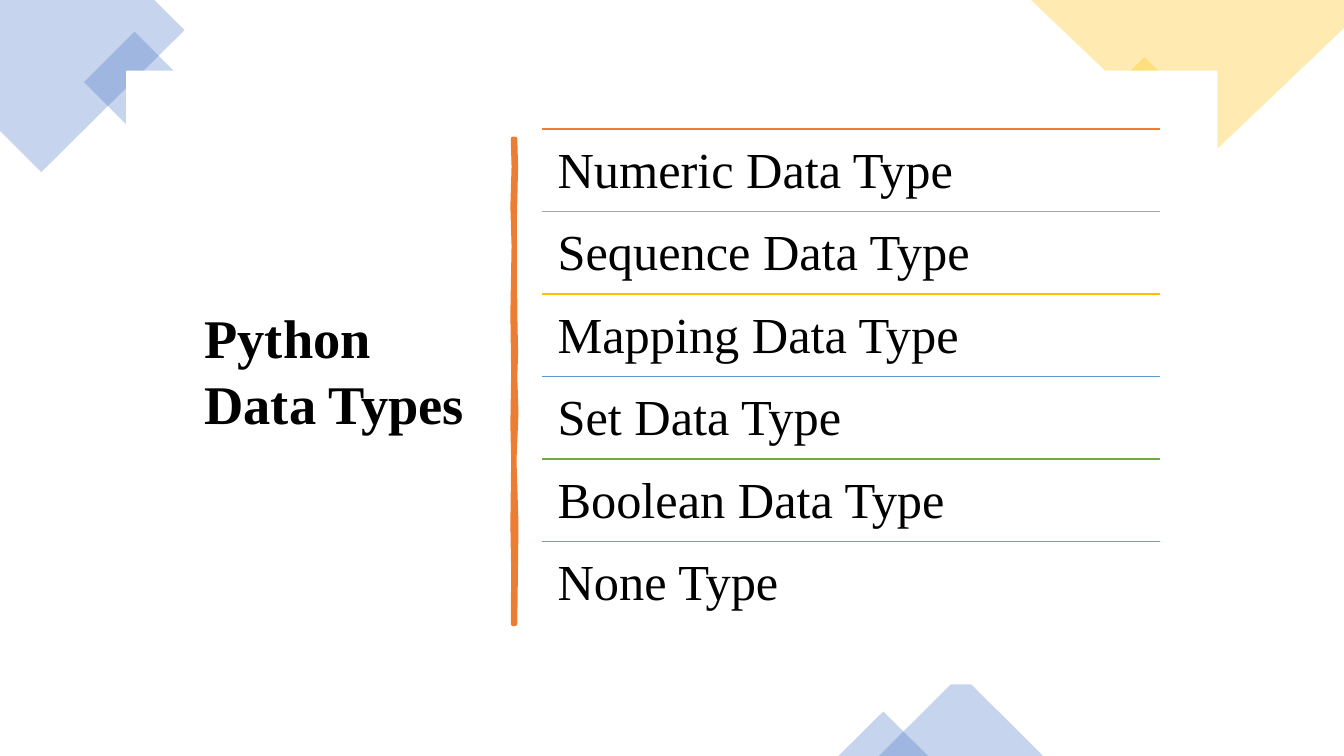
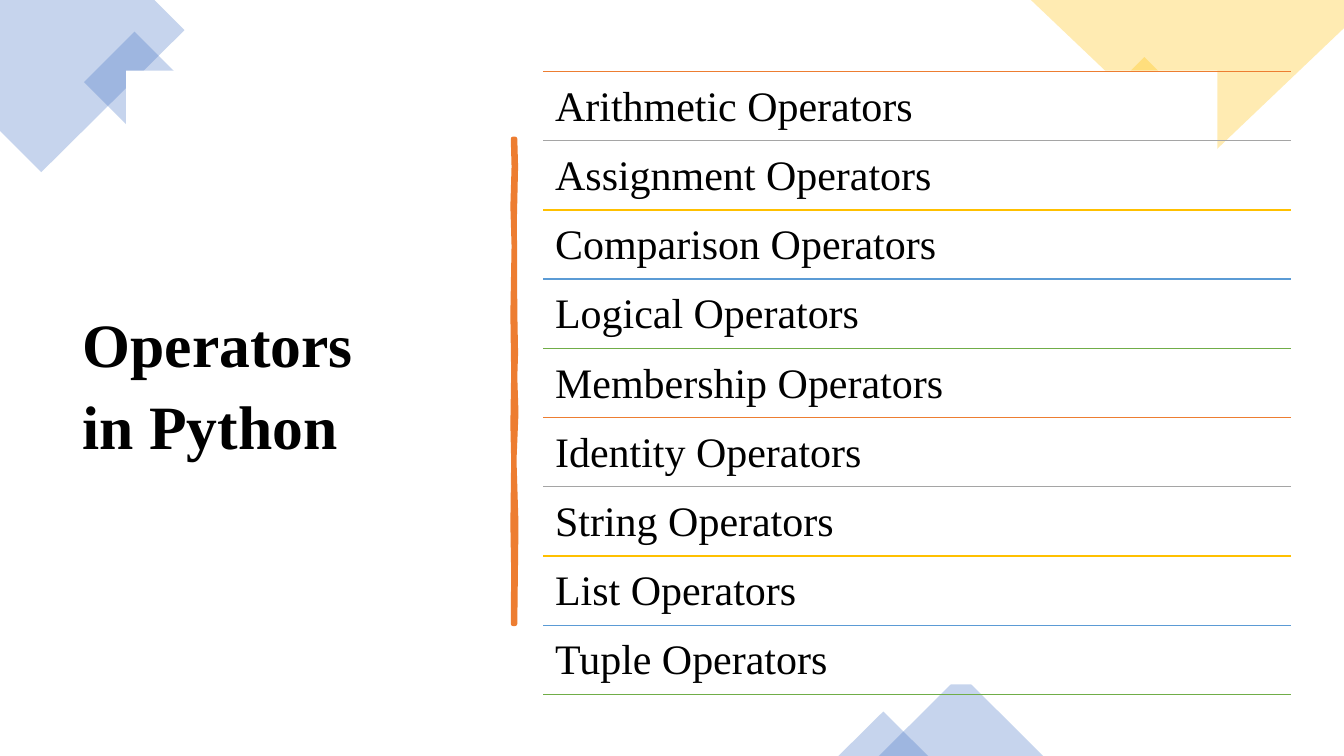
"""Build two Python overview slides with ruled lists."""
from itertools import cycle

from lxml.etree import SubElement
from pptx import Presentation
from pptx.dml.color import RGBColor
from pptx.enum.shapes import MSO_CONNECTOR, MSO_SHAPE
from pptx.enum.text import MSO_ANCHOR, MSO_AUTO_SIZE, PP_ALIGN
from pptx.oxml.ns import qn
from pptx.util import Cm, Pt

COLORS = {
    "blue": "4472C4", "gold": "FFC000", "orange": "ED7D31", "grey": "A5A5A5",
    "sky": "5B9BD5", "green": "70AD47", "white": "FFFFFF", "black": "000000",
}
RULE_COLORS = ["orange", "grey", "gold", "sky", "green"]
FONT = "Times New Roman"

TOPICS = [
    {
        "title": "Python Data Types", "title_size": 38.9,
        "title_box": (4.9, 7.54, 7.24, 3.58),
        "items": ["Numeric Data Type", "Sequence Data Type", "Mapping Data Type",
                  "Set Data Type", "Boolean Data Type", "None Type"],
        "item_size": 36, "inset": 0.38, "closing_rule": False,
        "left": 13.67, "width": 15.57, "top": 3.25, "bottom": 15.72,
    },
    {
        "title": "Operators\nin Python", "title_size": 44,
        "title_box": (1.83, 7.57, 10.31, 4.24),
        "items": ["Arithmetic Operators", "Assignment Operators",
                  "Comparison Operators", "Logical Operators",
                  "Membership Operators", "Identity Operators",
                  "String Operators", "List Operators", "Tuple Operators"],
        "item_size": 30, "inset": 0.3, "closing_rule": True,
        "left": 13.69, "width": 18.85, "top": 1.8, "bottom": 17.5,
    },
]


def paint(shape, color, alpha=None):
    """Give a shape a flat, optionally translucent fill without outline."""
    shape.shadow.inherit = False
    shape.fill.solid()
    shape.fill.fore_color.rgb = RGBColor.from_string(COLORS[color])
    shape.line.fill.background()
    if alpha:
        fill_color = shape.element.spPr.find(qn("a:solidFill")).find(qn("a:srgbClr"))
        SubElement(fill_color, qn("a:alpha")).set("val", str(alpha * 1000))


def draw_polygon(shapes, points):
    """Draw a closed outline through points given in centimetres."""
    corners = [(Cm(x), Cm(y)) for x, y in points]
    builder = shapes.build_freeform(*corners[0], scale=1.0)
    builder.add_line_segments(corners[1:], close=True)
    return builder.convert_to_shape()


presentation = Presentation()
presentation.slide_width = Cm(33.87)
presentation.slide_height = Cm(19.05)
layout = presentation.slide_layouts[1]
slides = [presentation.slides.add_slide(layout) for topic in TOPICS]

shapes = slides[0].shapes
decorations = []
corner = draw_polygon(shapes, [(3.89, 0), (0, 0), (0, 3.3), (1.04, 4.34), (4.65, 0.76)])
paint(corner, "blue", 30)
decorations.append(corner)

for left, top, side, color in [(2.49, 1.17, 1.8, "blue"), (27.89, 1.83, 1.9, "gold")]:
    square = shapes.add_shape(MSO_SHAPE.RECTANGLE, Cm(left), Cm(top), Cm(side), Cm(side))
    square.rotation = 315
    paint(square, color, 30)
    decorations.append(square)

corner = draw_polygon(shapes, [(33.87, 0), (25.98, 0), (30.3, 4.11), (33.87, 0.71)])
paint(corner, "gold", 30)
decorations.append(corner)

for left, top, width, height in [(22.15, 16.99, 4.14, 2.06), (21.13, 17.93, 2.26, 1.12)]:
    triangle = shapes.add_shape(
        MSO_SHAPE.ISOSCELES_TRIANGLE, Cm(left), Cm(top), Cm(width), Cm(height))
    paint(triangle, "blue", 30)
    decorations.append(triangle)

panel = shapes.add_shape(MSO_SHAPE.RECTANGLE, Cm(3.18), Cm(1.78), Cm(27.5), Cm(15.47))
paint(panel, "white")
decorations.append(panel)

brush_stroke = draw_polygon(shapes, [
    (12.98, 3.5), (13, 4.2), (12.97, 5.5), (12.98, 7.85), (13, 8.9),
    (12.98, 9.5), (13.01, 10.4), (12.96, 11.6), (13.01, 13.2), (12.98, 15.72),
    (12.93, 15.72), (12.94, 14.4), (12.92, 13.2), (12.94, 11.6), (12.92, 10.7),
    (12.94, 9.4), (12.92, 7.9), (12.95, 6.2), (12.92, 5.2), (12.95, 4.2), (12.93, 3.5)])
paint(brush_stroke, "orange")
brush_stroke.line.color.rgb = RGBColor.from_string(COLORS["orange"])
brush_stroke.line.width = Pt(3.25)
SubElement(brush_stroke.element.spPr.find(qn("a:ln")), qn("a:round"))
decorations.append(brush_stroke)

for number, decoration in enumerate(decorations, start=20):
    decoration.element.xpath("./*/p:cNvPr")[0].set("id", str(number))
    layout.shapes.element.append(decoration.element)

for slide, topic in zip(slides, TOPICS):
    title = slide.shapes.title
    title.left, title.top, title.width, title.height = map(Cm, topic["title_box"])
    title.text_frame.text = topic["title"]
    title.text_frame.word_wrap = True
    title.text_frame.auto_size = MSO_AUTO_SIZE.NONE
    title.text_frame.vertical_anchor = MSO_ANCHOR.TOP
    for paragraph in title.text_frame.paragraphs:
        paragraph.alignment = PP_ALIGN.LEFT
        paragraph.line_spacing = Pt(1.2 * topic["title_size"])
        paragraph.space_after = Pt(6)
        paragraph.font.name = FONT
        paragraph.font.size = Pt(topic["title_size"])
        paragraph.font.bold = True
        paragraph.font.color.rgb = RGBColor.from_string(COLORS["black"])

    count = len(topic["items"])
    pitch = (topic["bottom"] - topic["top"]) / count
    body = slide.placeholders[1]
    body.left, body.width = Cm(topic["left"]), Cm(topic["width"])
    body.top, body.height = Cm(topic["top"] - 0.16 * pitch), Cm(pitch * count)
    frame = body.text_frame
    frame.text = "\n".join(topic["items"])
    frame.word_wrap = True
    frame.auto_size = MSO_AUTO_SIZE.NONE
    frame.vertical_anchor = MSO_ANCHOR.TOP
    frame.margin_left = frame.margin_right = Cm(topic["inset"])
    frame.margin_top = frame.margin_bottom = 0
    for paragraph in frame.paragraphs:
        paragraph.line_spacing = Cm(pitch)
        paragraph.space_before = paragraph.space_after = Pt(0)
        properties = paragraph._p.get_or_add_pPr()
        properties.set("marL", "0")
        properties.set("indent", "0")
        SubElement(properties, qn("a:buNone"))
        paragraph.font.name = FONT
        paragraph.font.size = Pt(topic["item_size"])
        paragraph.font.color.rgb = RGBColor.from_string(COLORS["black"])

    right = Cm(topic["left"] + topic["width"])
    for row, color in zip(range(count + topic["closing_rule"]), cycle(RULE_COLORS)):
        height = Cm(topic["top"] + row * pitch)
        rule = slide.shapes.add_connector(
            MSO_CONNECTOR.STRAIGHT, Cm(topic["left"]), height, right, height)
        rule.line.color.rgb = RGBColor.from_string(COLORS[color])
        rule.line.width = Pt(1)
        SubElement(rule.element.spPr, qn("a:effectLst"))

presentation.save("out.pptx")
